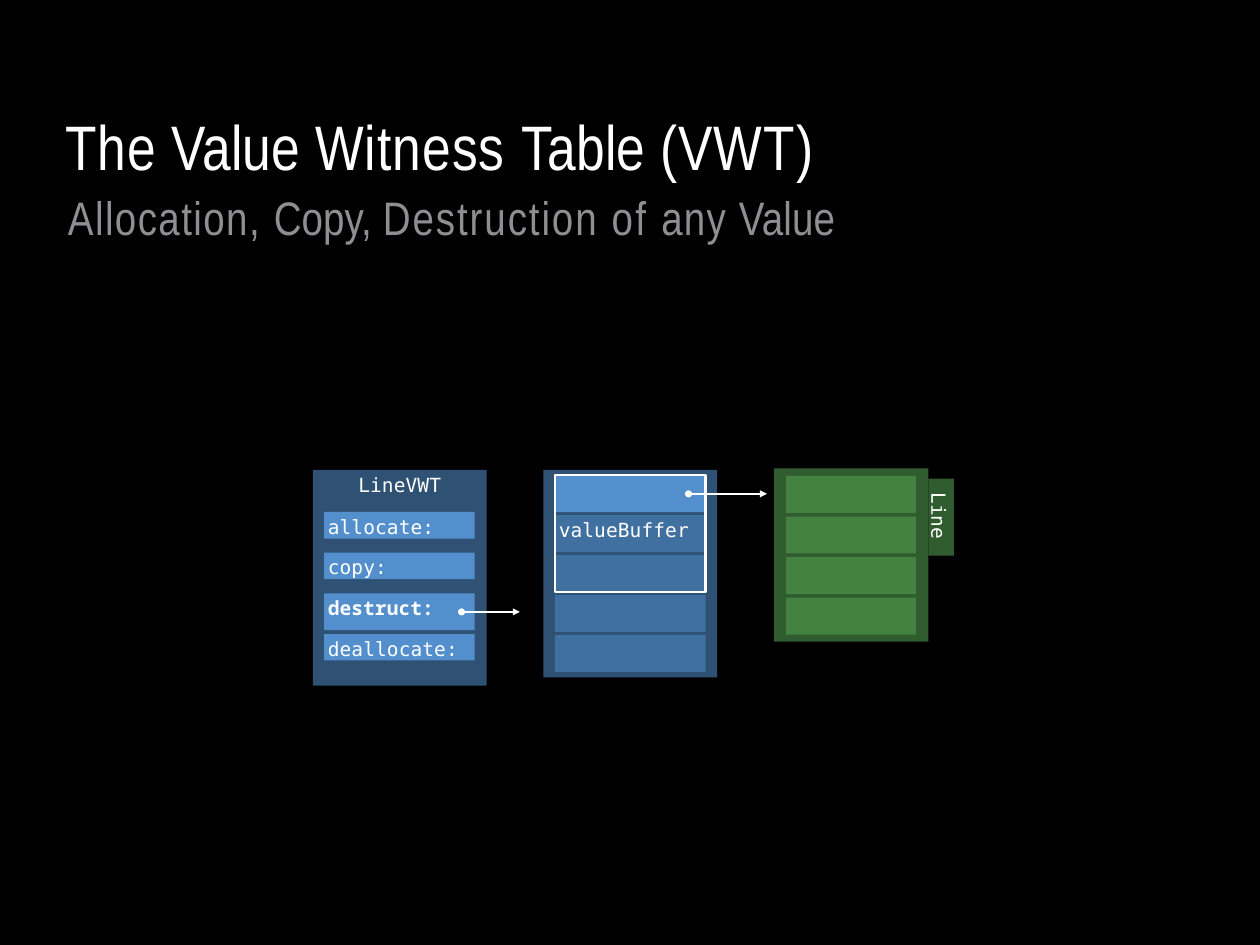
import dataclasses

import pptx
import pptx.dml.color
import pptx.enum.shapes
import pptx.enum.text
import pptx.oxml.ns
import pptx.oxml.xmlchemy
import pptx.util

Pt = pptx.util.Pt
ALIGN = pptx.enum.text.PP_ALIGN
ANCHOR = pptx.enum.text.MSO_ANCHOR


@dataclasses.dataclass(frozen=True)
class Theme:
    background: str = "000000"
    white: str = "FFFFFF"
    grey: str = "8E8E93"
    dark_blue: str = "2E5174"
    blue: str = "528FCC"
    dark_green: str = "305C2F"
    green: str = "58A854"
    title_font: str = "Arial Narrow"
    code_font: str = "DejaVu Sans Mono"
    bold_code_font: str = "Noto Sans Mono"
    title_size: float = 65.8
    subtitle_size: float = 49.2
    code_size: float = 20.4
    line_width: float = 2.47


THEME = Theme()

# Each title word or phrase with its letter spacing in points
TITLE = [("The ", 0.8), ("Value ", 0.2), ("Witness ", 1.2), ("Table ", 0.2), ("(VWT)", 1.2)]
SUBTITLE = [("Allocation, ", 1.5), ("Copy, ", 0.1), ("Destruction ", 2), ("of ", 2.4),
            ("any ", 1.2), ("Value", 0.2)]

# Witness table entries: text, height, bold
ENTRIES = [("allocate:", 28, False), ("copy:", 28, False),
           ("destruct:", 38.7, True), ("deallocate:", 27.7, False)]


def rgb(colour):
    return pptx.dml.color.RGBColor.from_string(colour)


def add_element(parent, tag, **attributes):
    element = pptx.oxml.xmlchemy.OxmlElement(tag)
    for name, value in attributes.items():
        element.set(name, value)
    parent.append(element)


def add_run(paragraph, text, font, size, colour=THEME.white, spacing=0.0, bold=False):
    run = paragraph.add_run()
    run.text = text
    run.font.name = font
    run.font.size = Pt(size)
    run.font.bold = bold
    run.font.color.rgb = rgb(colour)
    run._r.get_or_add_rPr().set("spc", str(round(spacing * 100)))


def set_frame(frame, left=0.0, top=0.0):
    frame.margin_left, frame.margin_top = Pt(left), Pt(top)
    frame.margin_right = frame.margin_bottom = Pt(0)
    frame.vertical_anchor = ANCHOR.TOP
    frame.auto_size = pptx.enum.text.MSO_AUTO_SIZE.NONE
    frame.word_wrap = True


def add_title(slide):
    title = slide.shapes.title
    title.left, title.top, title.width, title.height = Pt(67.7), Pt(112.3), Pt(963.4), Pt(145.4)
    frame = title.text_frame
    set_frame(frame)
    heading = frame.paragraphs[0]
    subheading = frame.add_paragraph()
    subheading.space_before = Pt(5.7)
    for paragraph, words, size, colour, indent in (
            (heading, TITLE, THEME.title_size, THEME.white, 0.9),
            (subheading, SUBTITLE, THEME.subtitle_size, THEME.grey, 3.5)):
        paragraph.alignment = ALIGN.LEFT
        properties = paragraph._p.get_or_add_pPr()
        properties.set("marL", str(Pt(indent)))
        properties.set("indent", "0")
        for text, spacing in words:
            add_run(paragraph, text, THEME.title_font, size, colour, spacing)


def add_box(slide, left, top, width, height, fill=None, opacity=100):
    """Adds a filled rectangle, or a white outline when there is no fill."""
    shape = slide.shapes.add_shape(pptx.enum.shapes.MSO_SHAPE.RECTANGLE,
                                   Pt(left), Pt(top), Pt(width), Pt(height))
    shape.shadow.inherit = False
    if fill is None:
        shape.fill.background()
        shape.line.color.rgb = rgb(THEME.white)
        shape.line.width = Pt(THEME.line_width)
        return shape
    shape.fill.solid()
    shape.fill.fore_color.rgb = rgb(fill)
    shape.line.fill.background()
    if opacity < 100:
        colour = shape._element.spPr.find(pptx.oxml.ns.qn("a:solidFill"))[0]
        add_element(colour, "a:alpha", val=str(opacity * 1000))
    return shape


def add_label(shape, text, align=ALIGN.LEFT, bold=False):
    set_frame(shape.text_frame, 4 if align == ALIGN.LEFT else 0, 3)
    paragraph = shape.text_frame.paragraphs[0]
    paragraph.alignment = align
    font = THEME.bold_code_font if bold else THEME.code_font
    add_run(paragraph, text, font, THEME.code_size, spacing=0.1, bold=bold)


def add_vertical_label(slide, text, left, top, width, height):
    box = slide.shapes.add_textbox(Pt(left), Pt(top), Pt(width), Pt(height))
    set_frame(box.text_frame)
    box.text_frame._txBody.bodyPr.set("vert", "vert")
    box.text_frame.word_wrap = False
    paragraph = box.text_frame.paragraphs[0]
    paragraph.alignment = ALIGN.LEFT
    paragraph.line_spacing = Pt(21.3)
    add_run(paragraph, text, THEME.code_font, THEME.code_size)


def add_arrow(slide, start, end, y):
    arrow = slide.shapes.add_connector(pptx.enum.shapes.MSO_CONNECTOR.STRAIGHT,
                                       Pt(start), Pt(y), Pt(end), Pt(y))
    arrow.line.color.rgb = rgb(THEME.white)
    arrow.line.width = Pt(THEME.line_width)
    line = arrow.line._get_or_add_ln()
    add_element(line, "a:headEnd", type="oval")
    add_element(line, "a:tailEnd", type="triangle")
    add_element(arrow._element.spPr, "a:effectLst")


def add_witness_table(slide):
    table = add_box(slide, 327.5, 491.8, 182, 226, THEME.dark_blue)
    add_label(table, "LineVWT", ALIGN.CENTER)
    for index, (text, height, bold) in enumerate(ENTRIES):
        entry = add_box(slide, 339.2, 535.8 + 42.65 * index, 157.7, height, THEME.blue)
        add_label(entry, text, bold=bold)


def add_line_value(slide):
    add_box(slide, 971.8, 501.1, 26.7, 80.6, THEME.dark_green)
    add_vertical_label(slide, "Line", 971.3, 515.5, 20.9, 51.1)
    add_box(slide, 810.2, 490.3, 161.6, 181.4, THEME.dark_green)
    for index in range(4):
        add_box(slide, 823, 498.3 + 42.45 * index, 135.7, 38.7, THEME.green, 50)


def add_container(slide):
    add_box(slide, 568.8, 491.8, 182, 217.4, THEME.dark_blue)
    words = [add_box(slide, 581, 497.6 + 41.75 * index, 157.7, 38.7, THEME.blue,
                     50 if index else 100) for index in range(5)]
    add_label(words[1], "valueBuffer")
    add_box(slide, 581, 497.6, 157.7, 122.3)


def main():
    presentation = pptx.Presentation()
    presentation.slide_width, presentation.slide_height = Pt(1319.04), Pt(989.28)
    slide = presentation.slides.add_slide(presentation.slide_layouts[5])
    slide.background.fill.solid()
    slide.background.fill.fore_color.rgb = rgb(THEME.background)

    add_title(slide)
    add_witness_table(slide)
    add_line_value(slide)
    add_container(slide)

    # Pointers from the buffer to the line and from the destruct entry
    add_arrow(slide, 720.8, 803, 517)
    add_arrow(slide, 483.2, 544.2, 640.6)

    presentation.save("out.pptx")


if __name__ == "__main__":
    main()
